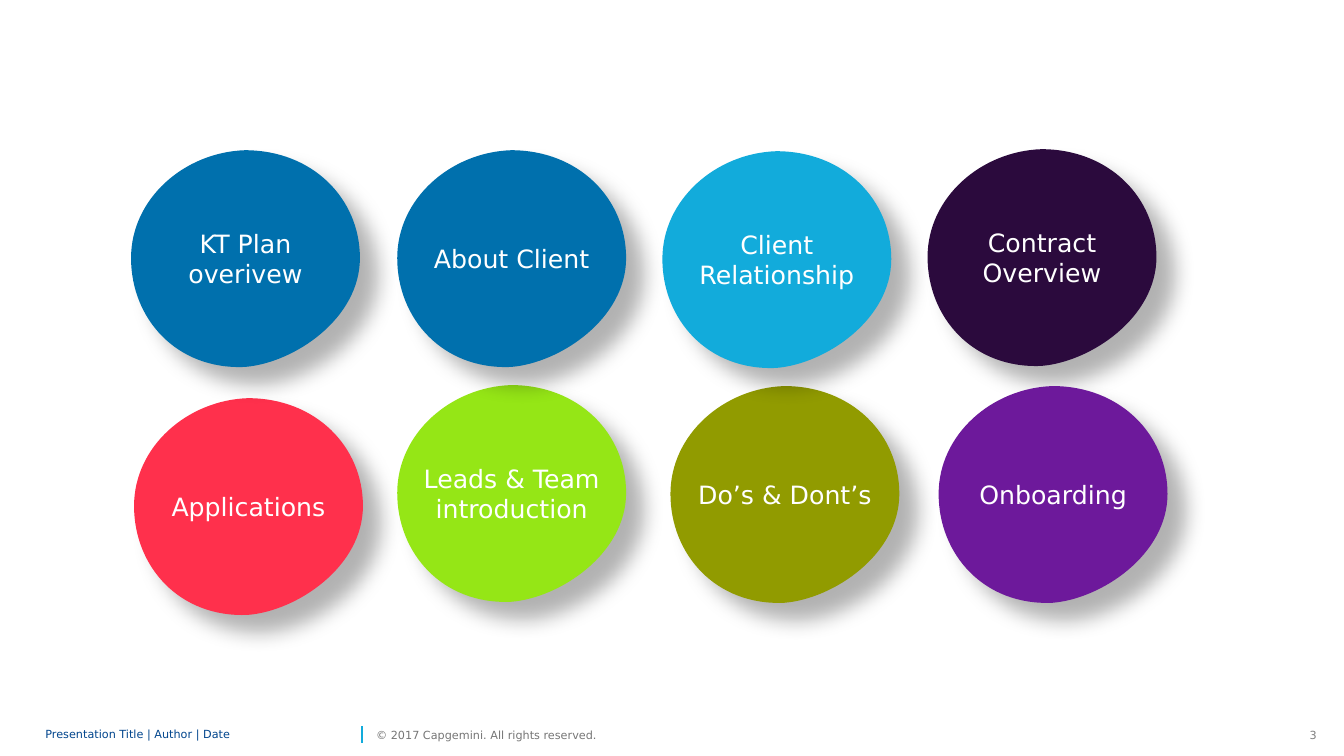
from dataclasses import dataclass

from lxml import etree
from pptx import Presentation
from pptx import util as u
from pptx.dml.color import RGBColor
from pptx.enum import shapes, text
from pptx.oxml.ns import qn

# Topics from back to front: label, column, row, nudge (x, y), colour name
TOPICS = [
    ("Leads & Team introduction", 1, 1, (0, -0.01), "lime"),
    ("Applications", 0, 1, (0.02, 0.12), "red"),
    ("Do’s & Dont’s", 2, 1, (0.08, 0), "olive"),
    ("Client Relationship", 2, 0, (0, 0.01), "cyan"),
    ("Contract Overview", 3, 0, (0, -0.01), "plum"),
    ("Onboarding", 3, 1, (0.11, 0), "violet"),
    ("KT Plan overivew", 0, 0, (-0.01, 0), "blue"),
    ("About Client", 1, 0, (0, 0), "blue"),
]

# Footer: text, left, width, colour name, alignment, line spacing
FOOTER = [
    ("Presentation Title | Author | Date", 0.45, 3.09, "navy", "LEFT", 0.85),
    ("© 2017 Capgemini. All rights reserved.", 3.73, 2.43, "dim", "LEFT", 1.0),
    ("3", 12.79, 0.27, "grey", "RIGHT", 1.0),
]
FOOTER_TOP, FOOTER_H = 7.17, 0.24
DIVIDER_X, DIVIDER_TOP, DIVIDER_END = 3.59, 7.2, 7.37

# Grid of blobs, in inches
GRID_LEFT, GRID_TOP = 1.31, 1.49
COL_PITCH, ROW_PITCH = 2.63, 2.34

# Blob outline in hundredths of an inch: start, then (control, control, end)
BLOB_START = (0, 107)
BLOB_CURVES = [
    ((0, 48), (53, 2), (113, 0)),
    ((180, 0), (227, 48), (227, 107)),
    ((227, 167), (162, 211), (113, 215)),
    ((45, 218), (0, 167), BLOB_START),
]


@dataclass(frozen=True)
class Theme:
    font: str = "DejaVu Sans"
    label_size: int = 18
    footer_size: int = 8
    white: str = "FFFFFF"
    lime: str = "95E616"
    red: str = "FF304C"
    olive: str = "919B00"
    cyan: str = "12ABDB"
    plum: str = "2B0A3D"
    violet: str = "6D199B"
    blue: str = "0070AD"
    navy: str = "00458D"
    dim: str = "767676"
    grey: str = "808080"

    def rgb(self, name):
        return RGBColor.from_string(getattr(self, name))


THEME = Theme()


def write(tf, words, size, colour, align):
    tf.vertical_anchor = text.MSO_ANCHOR.MIDDLE
    p = tf.paragraphs[0]
    p.text = words
    p.alignment = align
    p.font.name = THEME.font
    p.font.size = u.Pt(size)
    p.font.color.rgb = THEME.rgb(colour)
    return p


def curve_outline(sp):
    """Turn the straight segments of the blob into Bézier curves."""
    outline = next(sp._element.iter(qn("a:path")))
    for line in outline.findall(qn("a:lnTo")):
        outline.remove(line)
    close = outline.find(qn("a:close"))
    for curve in BLOB_CURVES:
        bezier = etree.Element(qn("a:cubicBezTo"))
        for x, y in curve:
            etree.SubElement(bezier, qn("a:pt"), x=str(x), y=str(y))
        close.addprevious(bezier)


def add_shadow(sp):
    sp.shadow.inherit = False
    effects = sp._element.spPr.find(qn("a:effectLst"))
    shadow = etree.SubElement(
        effects, qn("a:outerShdw"), blurRad=str(u.Pt(15)), dist=str(u.Pt(18)),
        dir=str(45 * 60000), algn="tl", rotWithShape="0")
    black = etree.SubElement(shadow, qn("a:srgbClr"), val="000000")
    etree.SubElement(black, qn("a:alpha"), val="30000")


def add_blob(s, label, col, row, nudge, colour):
    left = GRID_LEFT + col * COL_PITCH + nudge[0]
    top = GRID_TOP + row * ROW_PITCH + nudge[1]
    builder = s.shapes.build_freeform(*BLOB_START, scale=u.Inches(0.01))
    builder.add_line_segments([curve[-1] for curve in BLOB_CURVES])
    sp = builder.convert_to_shape(u.Inches(left), u.Inches(top))
    curve_outline(sp)
    sp.fill.solid()
    sp.fill.fore_color.rgb = THEME.rgb(colour)
    sp.line.fill.background()
    add_shadow(sp)
    sp.text_frame.word_wrap = True
    write(sp.text_frame, label, THEME.label_size, "white", text.PP_ALIGN.CENTER)


def add_footer(s):
    for words, left, width, colour, align, spacing in FOOTER:
        box = s.shapes.add_textbox(*map(u.Inches, (left, FOOTER_TOP, width, FOOTER_H)))
        tf = box.text_frame
        tf.word_wrap = True
        tf.margin_left = tf.margin_right = tf.margin_top = tf.margin_bottom = 0
        p = write(tf, words, THEME.footer_size, colour, text.PP_ALIGN[align])
        p.line_spacing = spacing
    divider = s.shapes.add_connector(
        shapes.MSO_CONNECTOR.STRAIGHT,
        *map(u.Inches, (DIVIDER_X, DIVIDER_END, DIVIDER_X, DIVIDER_TOP)))
    divider.line.color.rgb = THEME.rgb("cyan")
    divider.line.width = u.Pt(1)
    etree.SubElement(divider._element.spPr, qn("a:effectLst"))


def main():
    prs = Presentation()
    prs.slide_width, prs.slide_height = u.Inches(13.33), u.Inches(7.5)
    s = prs.slides.add_slide(prs.slide_layouts[6])
    add_footer(s)
    for topic in TOPICS:
        add_blob(s, *topic)
    prs.save("out.pptx")


if __name__ == "__main__":
    main()
